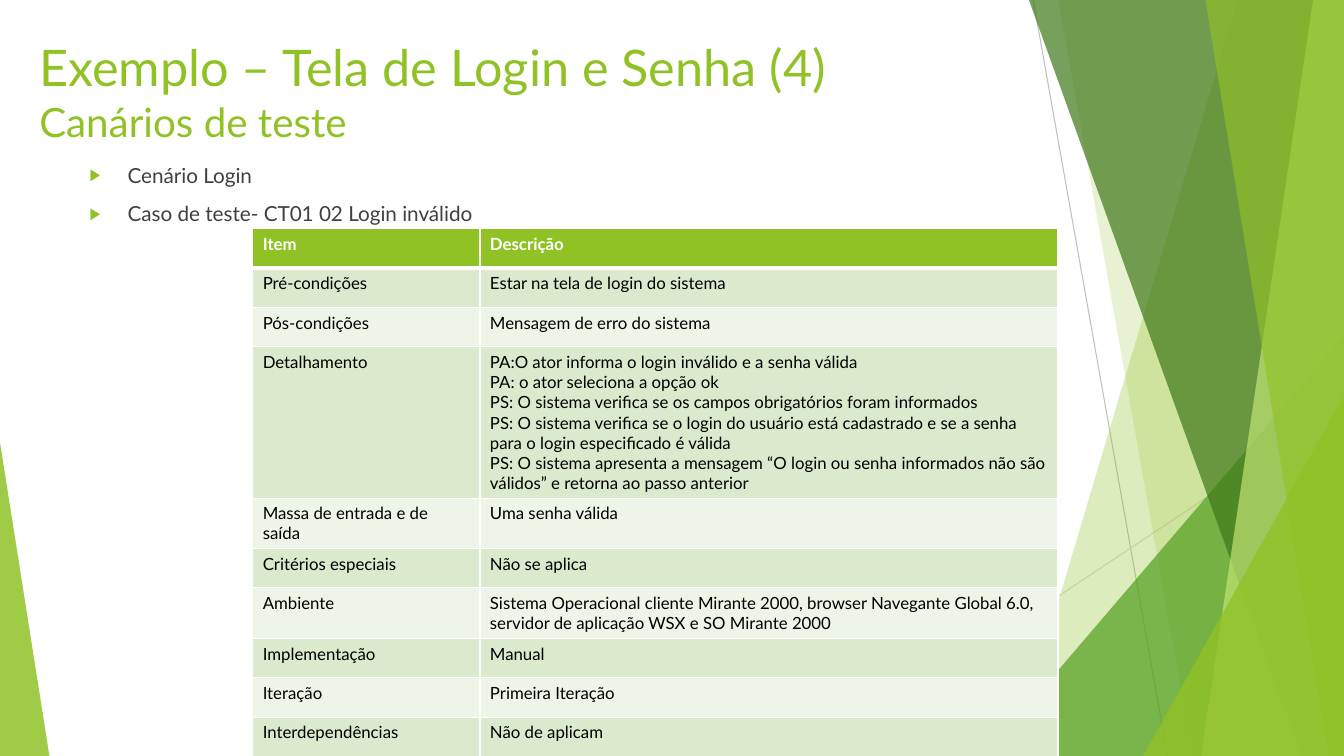
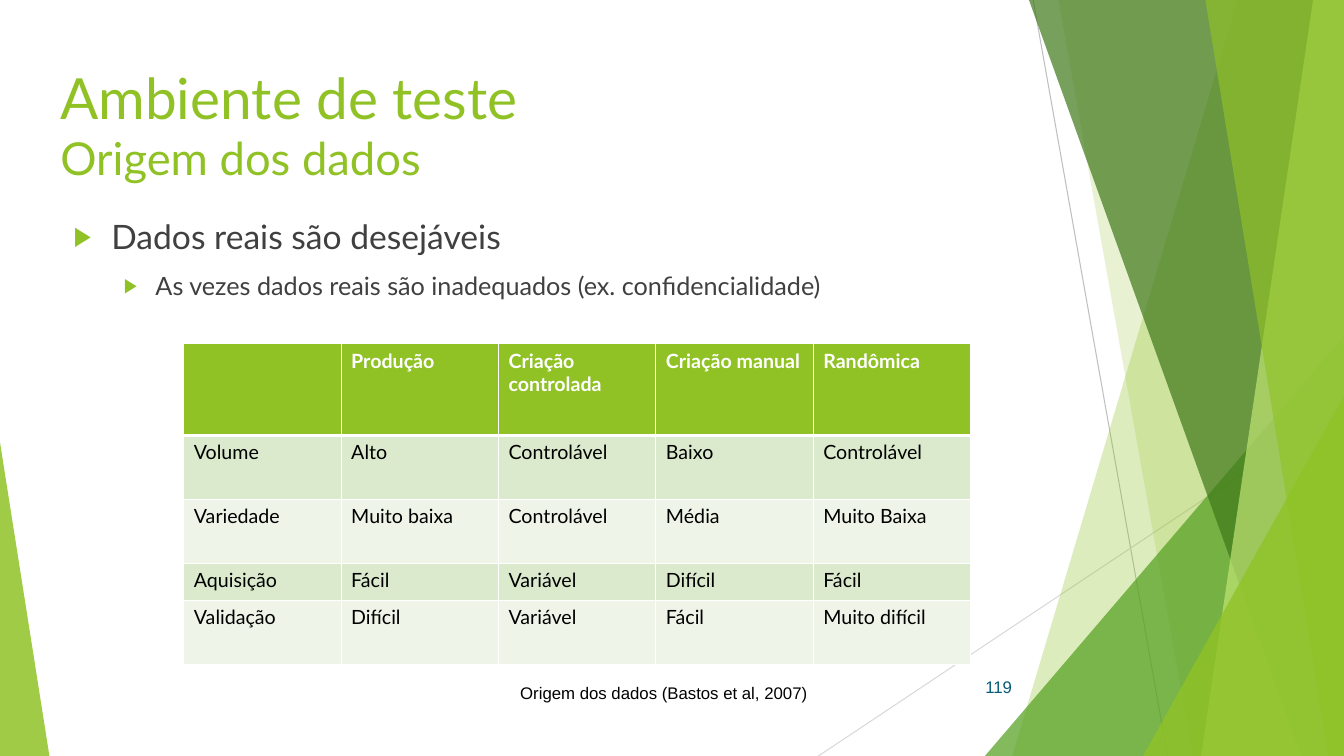
from lxml import etree
from pptx import Presentation
from pptx.dml.color import RGBColor
from pptx.enum.shapes import MSO_CONNECTOR, MSO_SHAPE
from pptx.enum.text import MSO_ANCHOR, PP_ALIGN
from pptx.oxml.ns import qn
from pptx.util import Pt

LINE = MSO_CONNECTOR.STRAIGHT
TRIANGLE = MSO_SHAPE.ISOSCELES_TRIANGLE
MIDDLE = MSO_ANCHOR.MIDDLE
LEFT, CENTER, RIGHT = PP_ALIGN.LEFT, PP_ALIGN.CENTER, PP_ALIGN.RIGHT

WIDE, HIGH = 960, 540
FONT, PLAIN = "Lato", "Arial"
COLORS = {
    "lime": "90C226", "green": "54A021", "forest": "3F7819", "pale": "C0E474",
    "gray": "BFBFBF", "silver": "D9D9D9", "text": "404040", "black": "000000",
    "white": "FFFFFF", "odd": "DBE9CD", "even": "EEF4E8", "page": "045C75",
}

# x1, y1, x2, y2, color
RULES = [(738, 0, 834, HIGH, "gray"), (WIDE, 290, 584.6, HIGH, "silver")]

# A slant has its top and bottom x; a triangle has left, width, height and peak.
BANDS = [
    ("slant", (884, 723), "lime", 30),
    ("slant", (756, 852), "lime", 20),
    ("triangle", (703.5, 256.5, 300, 1), "green", 72),
    ("slant", (735, 929.5), "forest", 70),
    ("slant", (938, 858), "pale", 70),
    ("slant", (861, 949), "lime", 65),
    ("triangle", (816.5, 143.5, 257, 1), "lime", 80),
    ("triangle", (0, 35.3, 224, 0), "lime", 85),
]

# Left margin of the text for each bullet level, and its hanging indent
INDENTS = [(27, 27), (58.5, 22.5)]

SLIDES = [
    {
        "title": ["Exemplo – Tela de Login e Senha (4)", "Canários de teste"],
        "title_box": (21, 22.5, 800, 90),
        "title_size": 36,
        "items": [(0, "Cenário Login", 14.8),
                  (0, "Caso de teste- CT01 02 Login inválido", 14.8)],
        "item_box": (57, 112.5, 782, 50),
        "table": {
            "at": (180.5, 163.5),
            "size": 12,
            "cols": [162.3, 413],
            "heights": [28.1] * 3 + [108] + [28.1] * 2 + [36.2] + [28.1] * 3,
            "rows": [
                ("Item", "Descrição"),
                ("Pré-condições", "Estar na tela de login do sistema"),
                ("Pós-condições", "Mensagem de erro do sistema"),
                ("Detalhamento", "\n".join([
                    "PA:O ator informa o login inválido e a senha válida",
                    "PA: o ator seleciona a opção ok",
                    "PS: O sistema verifica se os campos obrigatórios foram informados",
                    "PS: O sistema verifica se o login do usuário está cadastrado "
                    "e se a senha para o login especificado é válida",
                    "PS: O sistema apresenta a mensagem “O login ou senha informados "
                    "não são válidos” e retorna ao passo anterior",
                ])),
                ("Massa de entrada e de saída", "Uma senha válida"),
                ("Critérios especiais", "Não se aplica"),
                ("Ambiente",
                 "Sistema Operacional cliente Mirante 2000, browser Navegante Global 6.0, "
                 "servidor de aplicação WSX e SO Mirante 2000"),
                ("Implementação", "Manual"),
                ("Iteração", "Primeira Iteração"),
                ("Interdependências", "Não de aplicam"),
            ],
        },
    },
    {
        "title": ["Ambiente de teste", "Origem dos dados"],
        "title_box": (36, 41, 684, 90),
        "title_size": 40.5,
        "items": [(0, "Dados reais são desejáveis", 24),
                  (1, "As vezes dados reais são inadequados (ex. confidencialidade)", 18)],
        "item_box": (45.5, 150.5, 662, 73.5),
        "table": {
            "at": (131.3, 245.5),
            "size": 14,
            "cols": [112.4] * 5,
            "heights": [65.5, 45.8, 45.8, 26.5, 45.8],
            "rows": [
                ("", "Produção", "Criação controlada", "Criação manual", "Randômica"),
                ("Volume", "Alto", "Controlável", "Baixo", "Controlável"),
                ("Variedade", "Muito baixa", "Controlável", "Média", "Muito Baixa"),
                ("Aquisição", "Fácil", "Variável", "Difícil", "Fácil"),
                ("Validação", "Difícil", "Variável", "Fácil", "Muito difícil"),
            ],
        },
        "caption": "Origem dos dados (Bastos et al, 2007)",
        "page": "119",
    },
]


def rgb(name):
    return RGBColor.from_string(COLORS[name])


def style(par, size, color, bold=False, font=FONT):
    for run in par.runs:
        run.font.name, run.font.size, run.font.bold = font, Pt(size), bold
        run.font.color.rgb = rgb(color)


def add_text(slide, box, text):
    frame = slide.shapes.add_textbox(*map(Pt, box)).text_frame
    frame.word_wrap = True
    frame.text = text
    return frame


def add_rule(slide, x1, y1, x2, y2, color):
    rule = slide.shapes.add_connector(LINE, *map(Pt, (x1, y1, x2, y2)))
    rule.line.color.rgb = rgb(color)
    rule.line.width = Pt(0.75)
    etree.SubElement(rule._element.spPr, qn("a:effectLst"))


def add_band(slide, kind, geo, color, alpha):
    """Draw one see-through band that reaches the slide's bottom edge."""
    if kind == "slant":
        top, bottom = geo
        path = slide.shapes.build_freeform(Pt(top), 0)
        corners = [(WIDE, 0), (WIDE, HIGH), (bottom, HIGH)]
        path.add_line_segments([(Pt(x), Pt(y)) for x, y in corners])
        band = path.convert_to_shape()
    else:
        left, width, height, peak = geo
        box = (left, HIGH - height, width, height)
        band = slide.shapes.add_shape(TRIANGLE, *map(Pt, box))
        band.adjustments[0] = peak
    band.shadow.inherit = False
    band.fill.solid()
    band.fill.fore_color.rgb = rgb(color)
    tone = band._element.spPr.find(".//" + qn("a:srgbClr"))
    etree.SubElement(tone, qn("a:alpha"), val=str(alpha * 1000))
    band.line.fill.background()


def add_title(slide, box, lines, size):
    par = add_text(slide, box, "").paragraphs[0]
    par.text = "\v".join(lines)
    style(par, size, "lime")
    par.runs[-1].font.size = Pt(size * 0.8)


def add_bullet(par, level):
    left, hang = INDENTS[level]
    props = par._p.get_or_add_pPr()
    props.set("marL", str(Pt(left)))
    props.set("indent", str(-Pt(hang)))
    tint = etree.SubElement(props, qn("a:buClr"))
    etree.SubElement(tint, qn("a:srgbClr"), val=COLORS["lime"])
    etree.SubElement(props, qn("a:buSzPct"), val="80000")
    etree.SubElement(props, qn("a:buFont"), typeface=PLAIN)
    etree.SubElement(props, qn("a:buChar"), char="▶")


def add_items(slide, box, items):
    frame = add_text(slide, box, "\n".join(text for _, text, _ in items))
    for par, (level, _, size) in zip(frame.paragraphs, items):
        par.level = level
        par.space_before = Pt(10)
        add_bullet(par, level)
        style(par, size, "text")


def add_edges(cell, widths):
    """Draw white borders; widths go left, right, top, bottom."""
    props = cell._tc.get_or_add_tcPr()
    for side, width in zip("LRTB", widths):
        edge = etree.SubElement(props, qn("a:ln" + side), w=str(Pt(width)))
        fill = etree.SubElement(edge, qn("a:solidFill"))
        etree.SubElement(fill, qn("a:srgbClr"), val=COLORS["white"])


def add_grid(slide, data):
    rows, cols, heights = data["rows"], data["cols"], data["heights"]
    box = (*data["at"], sum(cols), sum(heights))
    table = slide.shapes.add_table(len(rows), len(cols), *map(Pt, box)).table
    table.first_row = table.horz_banding = False
    for col, width in zip(table.columns, cols):
        col.width = Pt(width)
    for r, (row, height) in enumerate(zip(rows, heights)):
        table.rows[r].height = Pt(height)
        head = r == 0
        back = "lime" if head else ("even", "odd")[r % 2]
        for c, text in enumerate(row):
            cell = table.cell(r, c)
            add_edges(cell, (1, 1, 3 if r == 1 else 1, 3 if head else 1))
            cell.fill.solid()
            cell.fill.fore_color.rgb = rgb(back)
            cell.text_frame.text = text
            for par in cell.text_frame.paragraphs:
                style(par, data["size"], "white" if head else "black", head)


def add_note(slide, box, text, color, align):
    frame = add_text(slide, box, text)
    frame.vertical_anchor = MIDDLE
    par = frame.paragraphs[0]
    par.alignment = align
    style(par, 12, color, font=PLAIN)


def add_slide(deck, data):
    slide = deck.slides.add_slide(deck.slide_layouts[6])
    for rule in RULES:
        add_rule(slide, *rule)
    for band in BANDS:
        add_band(slide, *band)
    add_title(slide, data["title_box"], data["title"], data["title_size"])
    add_items(slide, data["item_box"], data["items"])
    add_grid(slide, data["table"])
    if "caption" in data:
        add_note(slide, (255, 484, 438.5, 21.6), data["caption"], "black", CENTER)
    if "page" in data:
        add_note(slide, (676, 476, 54, 28.8), data["page"], "page", RIGHT)


def main():
    deck = Presentation()
    deck.slide_width, deck.slide_height = Pt(WIDE), Pt(HIGH)
    for data in SLIDES:
        add_slide(deck, data)
    deck.save("out.pptx")


if __name__ == "__main__":
    main()
